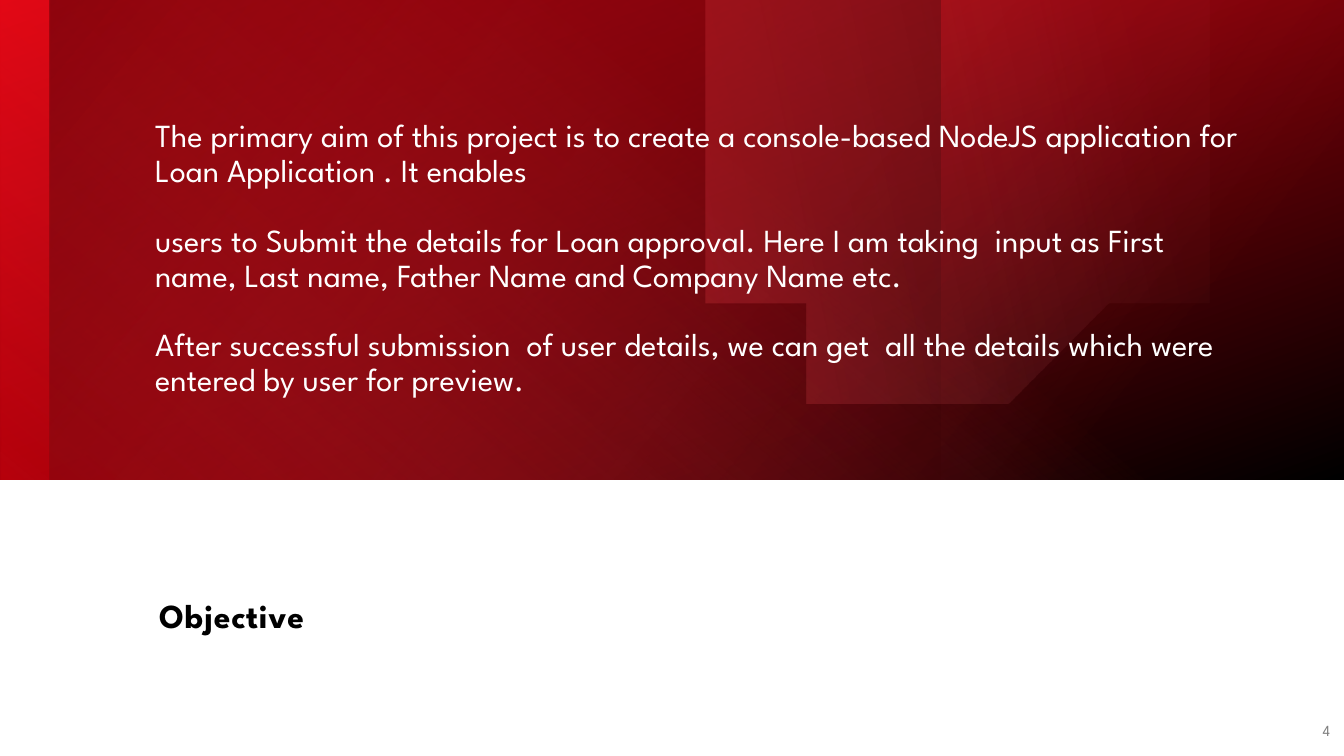
import math

import pptx
import pptx.dml.color
import pptx.enum.shapes
import pptx.enum.text
import pptx.oxml
import pptx.oxml.ns
import pptx.util

WIDTH, HEIGHT = 13.33, 7.5
FONT = "League Spartan"
COLORS = {
    "red": "EE0110",
    "deep red": "9F010B",
    "coral": "FE414D",
    "pink": "FE8D94",
    "black": "000000",
    "white": "FFFFFF",
    "grey": "808080",
}
OBJECTIVE = [
    "The primary aim of this project is to create a console-based NodeJS "
    "application for Loan Application . It enables",
    "users to Submit the details for Loan approval. Here I am taking  input as "
    "First name, Last name, Father Name and Company Name etc.",
    "After successful submission  of user details, we can get  all the details "
    "which were entered by user for preview.",
]


def color(name):
    return pptx.dml.color.RGBColor.from_string(COLORS[name])


def inches(*lengths):
    return [pptx.util.Inches(length) for length in lengths]


def paint_gradient(shape, stops, angle):
    """Fill with two (position, color, opacity) stops; angle runs clockwise."""
    shape.shadow.inherit = False
    shape.line.fill.background()
    shape.fill.gradient()
    shape.fill.gradient_angle = (360 - angle) % 360
    for stop, (position, name, _) in zip(shape.fill.gradient_stops, stops):
        stop.position = position / 100
        stop.color.rgb = color(name)
    tones = shape._element.spPr.iter(pptx.oxml.ns.qn("a:srgbClr"))
    for tone, (_, _, opacity) in zip(tones, stops):
        alpha = pptx.oxml.parse_xml(
            f'<a:alpha {pptx.oxml.ns.nsdecls("a")} val="{opacity * 1000}"/>')
        tone.append(alpha)


def add_veil(page, box, stops, angle, turn=0):
    """Cover the box with a gradient rectangle, turned about its centre."""
    left, top, width, height = box
    center_x, center_y = left + width / 2, top + height / 2
    if turn % 180:
        width, height = height, width
    veil = page.shapes.add_shape(
        pptx.enum.shapes.MSO_SHAPE.RECTANGLE,
        *inches(center_x - width / 2, center_y - height / 2, width, height))
    veil.rotation = turn
    paint_gradient(veil, stops, angle)


def add_cut_circle(page, center_x, center_y, radius, cut):
    """Draw the part of a circle that lies below the height of the cut."""
    start = math.asin((cut - center_y) / radius)
    steps = 120
    sweep = math.pi - 2 * start
    points = []
    for step in range(steps + 1):
        turn = start + sweep * step / steps
        points.append((center_x + radius * math.cos(turn),
                       center_y + radius * math.sin(turn)))
    builder = page.shapes.build_freeform(*points[0], scale=pptx.util.Inches(1))
    builder.add_line_segments(points[1:], close=True)
    paint_gradient(builder.convert_to_shape(),
                   [(0, "coral", 22), (87, "pink", 2)], 348.5)


def add_text(page, box, paragraphs, size, ink, anchor="MIDDLE", align="LEFT",
             bold=False, line_spacing=0.9, gap=0, tracking=0):
    frame = page.shapes.add_textbox(*inches(*box)).text_frame
    frame.word_wrap = True
    frame.vertical_anchor = getattr(pptx.enum.text.MSO_ANCHOR, anchor)
    for index, text in enumerate(paragraphs):
        para = frame.add_paragraph() if index else frame.paragraphs[0]
        para.alignment = getattr(pptx.enum.text.PP_ALIGN, align)
        para.line_spacing = line_spacing
        para.space_before = pptx.util.Pt(gap if index else 0)
        span = para.add_run()
        span.text = text
        span.font.name = FONT
        span.font.size = pptx.util.Pt(size)
        span.font.bold = bold
        span.font.color.rgb = color(ink)
        if tracking:
            span.font._element.set("spc", str(round(tracking * 100)))


def add_banner(page, box):
    """Red backdrop with layered veils, a circle and the objective text."""
    left, top, width, height = box
    strip = 0.49
    inner = (left + strip, top, width - strip, height)
    add_veil(page, box, [(0, "red", 100), (100, "black", 100)], 250, turn=180)
    add_veil(page, box, [(40, "coral", 0), (100, "red", 52)], 40, turn=90)
    add_veil(page, inner, [(17, "coral", 0), (100, "black", 37)], 130, turn=90)
    add_veil(page, (left, top, width * 0.7, height),
             [(0, "deep red", 0), (100, "black", 25)], 310)
    add_cut_circle(page, left + width * 0.703, top + 1.04, 2.74, top + 0.01)
    add_text(page, (left + 1.44, top + 0.82, 10.99, 3.2), OBJECTIVE, 23,
             "white", anchor="BOTTOM", gap=24.8)


def add_footer(page, box):
    """White lower part with the heading and the page number."""
    left, top, width, height = box
    add_text(page, (left + 1.48, top + 0.57, 10.94, 1.59), ["Objective"], 24,
             "black", bold=True, tracking=0.5)
    add_text(page, (left + width - 0.53, top + height - 0.45, 0.49, 0.4),
             ["4"], 11, "grey", align="RIGHT", line_spacing=1)


def main():
    deck = pptx.Presentation()
    deck.slide_width, deck.slide_height = inches(WIDTH, HEIGHT)
    page = deck.slides.add_slide(deck.slide_layouts[6])
    page.background.fill.solid()
    page.background.fill.fore_color.rgb = color("white")
    top, banner_height = -0.02, 4.78
    split = top + banner_height
    add_banner(page, (0, top, WIDTH, banner_height))
    add_footer(page, (0, split, WIDTH, HEIGHT - split))
    deck.save("out.pptx")


if __name__ == "__main__":
    main()
